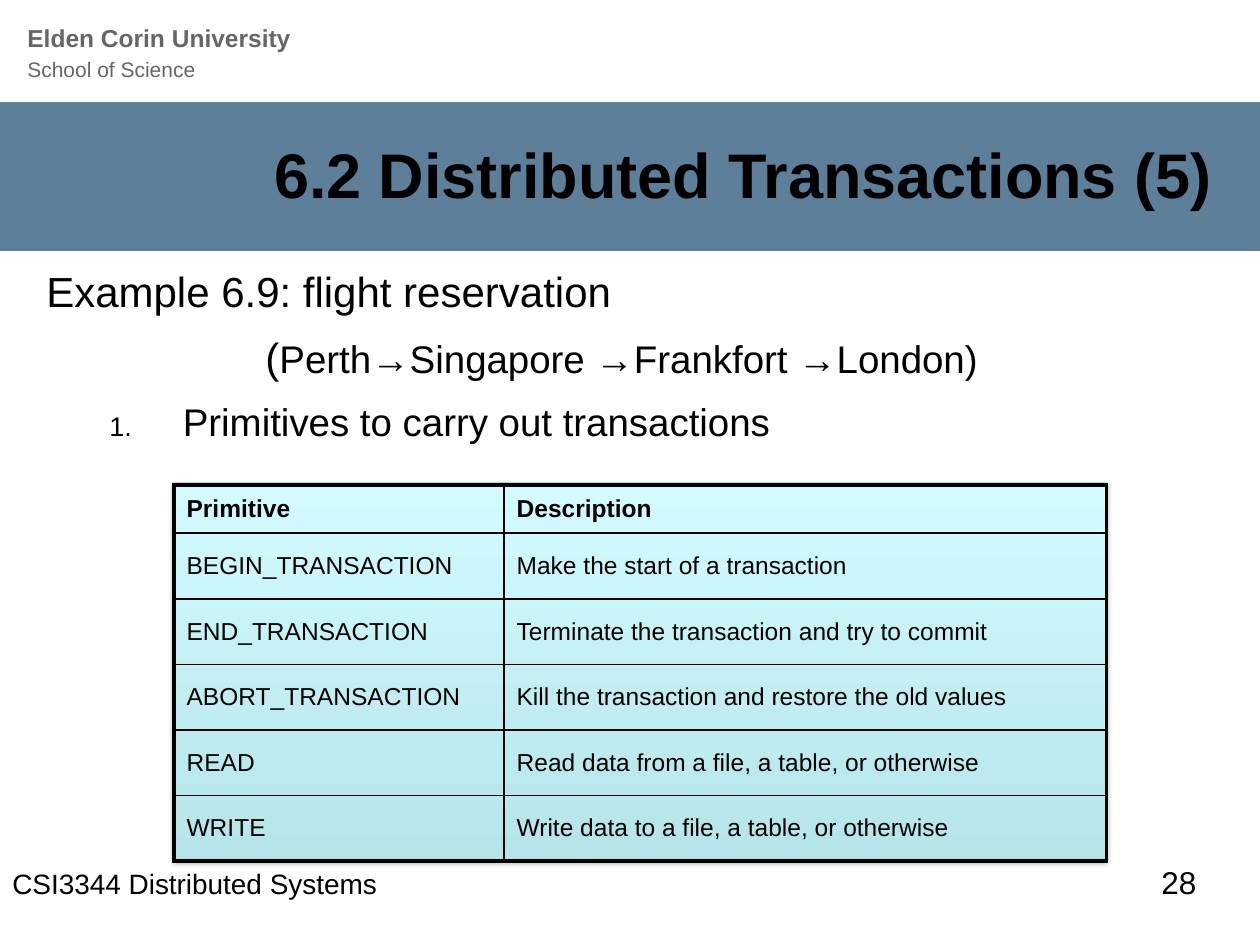
from dataclasses import dataclass

from lxml.etree import SubElement
from pptx import Presentation
from pptx.dml.color import RGBColor
from pptx.enum.shapes import MSO_SHAPE
from pptx.enum.text import MSO_ANCHOR as Anchor, PP_ALIGN as Align
from pptx.oxml.ns import qn
from pptx.util import Pt


@dataclass(frozen=True)
class Theme:
    font: str = "Arial"
    ink: str = "000000"
    muted: str = "666666"
    band: str = "5D7F9A"
    panel_dark: str = "B5E5E9"
    panel_light: str = "D3FBFF"
    panel_edge: str = "B6DCDF"
    title: int = 36
    lead: int = 24
    body: int = 22
    number: int = 18
    footer: int = 16
    cell: int = 14
    school: int = 12
    outer_line: float = 2.25
    inner_line: float = 1


THEME = Theme()

PRIMITIVES = [
    ("Primitive", "Description"),
    ("BEGIN_TRANSACTION", "Make the start of a transaction"),
    ("END_TRANSACTION", "Terminate the transaction and try to commit"),
    ("ABORT_TRANSACTION", "Kill the transaction and restore the old values"),
    ("READ", "Read data from a file, a table, or otherwise"),
    ("WRITE", "Write data to a file, a table, or otherwise"),
]


def points(box):
    return [Pt(length) for length in box]


def add_run(paragraph, text, size, color=THEME.ink, bold=False):
    run = paragraph.add_run()
    run.text = text
    run.font.name = THEME.font
    run.font.size = Pt(size)
    run.font.bold = bold
    run.font.color.rgb = RGBColor.from_string(color)


def add_text_frame(slide, box):
    frame = slide.shapes.add_textbox(*points(box)).text_frame
    frame.word_wrap = True
    return frame


def add_rectangle(slide, box):
    shape = slide.shapes.add_shape(MSO_SHAPE.RECTANGLE, *points(box))
    shape.shadow.inherit = False
    return shape


def add_label(slide, box, text, size):
    add_run(add_text_frame(slide, box).paragraphs[0], text, size)


def add_header(slide, box):
    paragraph = add_text_frame(slide, box).paragraphs[0]
    paragraph.line_spacing = Pt(16.8)
    add_run(paragraph, "Elden Corin University", THEME.cell, THEME.muted, bold=True)
    paragraph.add_line_break()
    add_run(paragraph, "School of Science", THEME.school, THEME.muted)


def add_title_band(slide, box):
    left, top, width, height = box
    band = add_rectangle(slide, box)
    band.fill.solid()
    band.fill.fore_color.rgb = RGBColor.from_string(THEME.band)
    band.line.fill.background()

    frame = add_text_frame(slide, (left + 19.4, top + 1.5, width - 42.5, height - 6.5))
    frame.vertical_anchor = Anchor.MIDDLE
    paragraph = frame.paragraphs[0]
    paragraph.alignment = Align.RIGHT
    add_run(paragraph, "6.2 Distributed Transactions (5)", THEME.title, bold=True)


def format_body(paragraph, margin, indent):
    paragraph.line_spacing = 0.9
    paragraph.space_before = Pt(12)
    properties = paragraph._p.get_or_add_pPr()
    properties.set("marL", str(Pt(margin)))
    properties.set("indent", str(Pt(indent)))
    return properties


def add_body(slide, box):
    frame = add_text_frame(slide, box)
    example = frame.paragraphs[0]
    format_body(example, 48, -48)
    add_run(example, "Example 6.9: flight reservation", THEME.lead)

    route = frame.add_paragraph()
    route.alignment = Align.CENTER
    format_body(route, 48, -48)
    add_run(route, "(", THEME.lead)
    add_run(route, "Perth→Singapore →Frankfort →London)", THEME.body)

    item = frame.add_paragraph()
    item.level = 1
    properties = format_body(item, 78, -42)
    SubElement(properties, qn("a:buSzPct"), val="70000")
    SubElement(properties, qn("a:buFont"), typeface=THEME.font)
    SubElement(properties, qn("a:buAutoNum"), type="arabicPeriod")
    add_run(item, "Primitives to carry out transactions", THEME.body)


def add_soft_shadow(shape):
    effects = shape._element.spPr.find(qn("a:effectLst"))
    shadow = SubElement(effects, qn("a:outerShdw"), blurRad=str(Pt(3.1)),
                        dist=str(Pt(1.8)), dir="5400000", rotWithShape="0")
    color = SubElement(shadow, qn("a:srgbClr"), val=THEME.ink)
    SubElement(color, qn("a:alpha"), val="35000")


def add_panel(slide, box):
    panel = add_rectangle(slide, box)
    panel.fill.gradient()
    panel.fill.gradient_angle = 90
    for stop, color in zip(panel.fill.gradient_stops, (THEME.panel_dark, THEME.panel_light)):
        stop.color.rgb = RGBColor.from_string(color)
    panel.line.color.rgb = RGBColor.from_string(THEME.panel_edge)
    panel.line.width = Pt(0.75)
    add_soft_shadow(panel)


def set_borders(cell, outer_sides):
    """Draw all four sides, with a heavier line on the outer ones."""
    properties = cell._tc.get_or_add_tcPr()
    for side, outer in zip("LRTB", outer_sides):
        width = THEME.outer_line if outer else THEME.inner_line
        line = SubElement(properties, qn(f"a:ln{side}"), w=str(Pt(width)))
        fill = SubElement(line, qn("a:solidFill"))
        SubElement(fill, qn("a:srgbClr"), val=THEME.ink)


def add_primitives_table(slide, box):
    last_row, last_column = len(PRIMITIVES) - 1, len(PRIMITIVES[0]) - 1
    table = slide.shapes.add_table(last_row + 1, last_column + 1, *points(box)).table
    table.first_row = table.horz_banding = False
    first_width, header_height = 188.64, 27.5
    table.columns[0].width = Pt(first_width)
    table.columns[1].width = Pt(box[2] - first_width)
    for index, row in enumerate(table.rows):
        row.height = Pt((box[3] - header_height) / last_row if index else header_height)

    for row, texts in enumerate(PRIMITIVES):
        for column, text in enumerate(texts):
            cell = table.cell(row, column)
            cell.vertical_anchor = Anchor.MIDDLE
            set_borders(cell, (column == 0, column == last_column, row == 0, row == last_row))
            cell.fill.background()
            add_run(cell.text_frame.paragraphs[0], text, THEME.cell, bold=row == 0)


def main():
    presentation = Presentation()
    presentation.slide_width, presentation.slide_height = Pt(720), Pt(540)
    slide = presentation.slides.add_slide(presentation.slide_layouts[6])
    add_header(slide, (8.6, 9.4, 424, 41.8))
    add_title_band(slide, (0, 58.3, 722.9, 85))
    add_body(slide, (19.4, 151.2, 671.8, 113.8))
    add_panel(slide, (99.4, 275.8, 532.8, 215))
    add_primitives_table(slide, (99.4, 277.2, 532.8, 215))
    add_label(slide, (0, 491.8, 314.6, 22.3), "CSI3344 Distributed Systems", THEME.footer)
    add_label(slide, (656.6, 489.6, 64.8, 36), "28", THEME.number)
    presentation.save("out.pptx")


if __name__ == "__main__":
    main()
